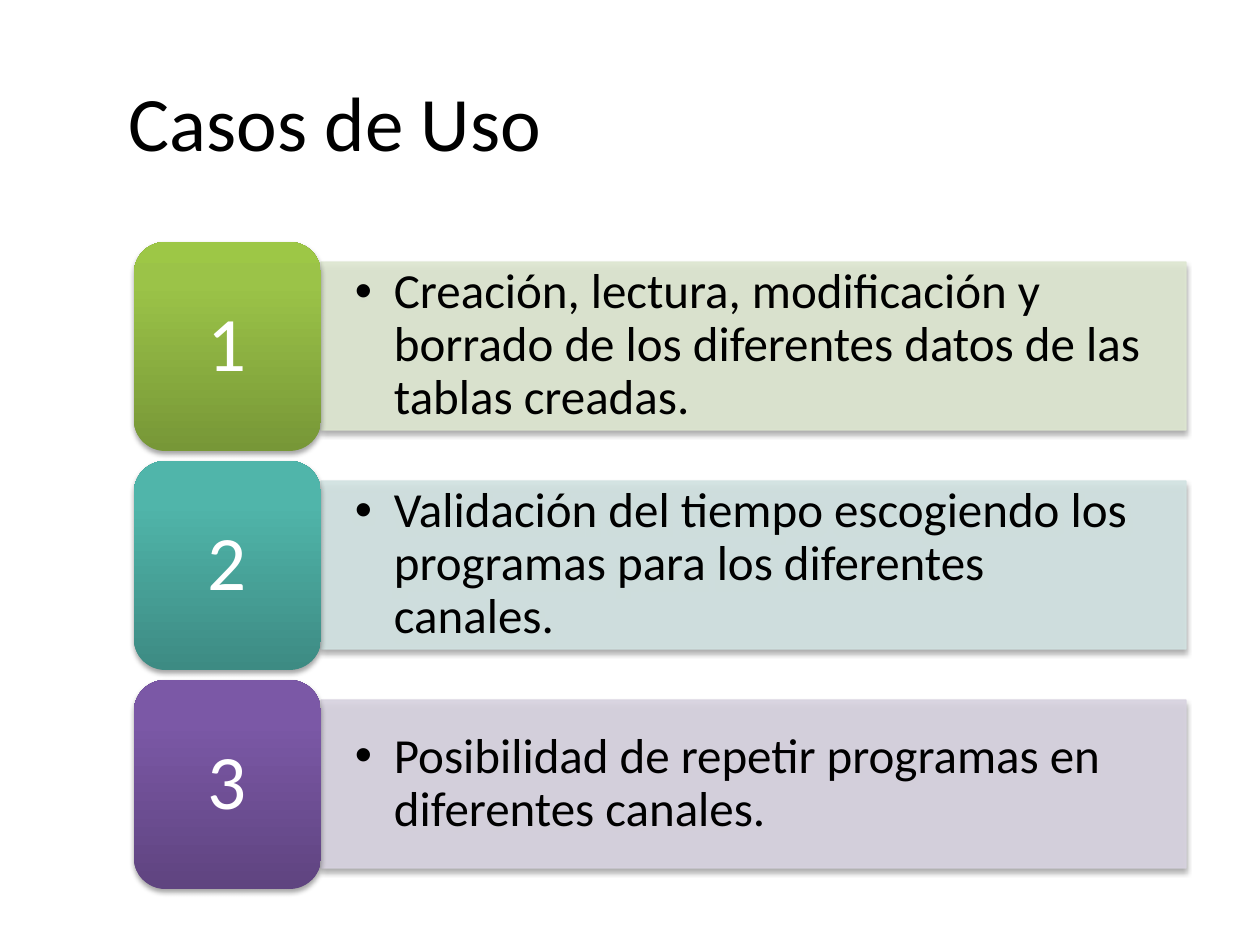
from lxml import etree
from pptx import Presentation
from pptx import util as u
from pptx.dml.color import RGBColor
from pptx.enum import shapes, text
from pptx.oxml.ns import qn

TITLE = "Casos de Uso"
USE_CASES = [
    ("Creación, lectura, modificación y borrado de los diferentes datos de las tablas creadas.",
     "DEE7D1", ("779737", "9BC348", "9DC746")),
    ("Validación del tiempo escogiendo los programas para los diferentes canales.",
     "D2E3E2", ("3D8B83", "50B5AA", "4EB8AC")),
    ("Posibilidad de repetir programas en diferentes canales.",
     "D8D3E0", ("5F4480", "7B58A6", "7C57A8")),
]
THEME = {
    "font": "Calibri", "dark": "000000", "light": "FFFFFF",
    "title_size": 44, "number_size": 44, "body_size": 28,
    "bar_alpha": 90000, "shadow_alpha": 35000,
    "gradient_stops": (0, 80000, 100000),
}

SLIDE_W, SLIDE_H = 1260, 945
TITLE_BOX = (116, 42, 1113, 157)
LEFT, TOP, PITCH = 134, 242, 219
TILE_W, TILE_H = 187, 209
BAR_W, BAR_H = 865, 168
BULLET_INDENT = 39


def px(n):
    return u.Emu(round(n * 914400 / 126))


def child(parent, tag, **attributes):
    return etree.SubElement(parent, qn(tag), {k: str(v) for k, v in attributes.items()})


def write(shape, words, size, color, align, inset=None, spacing=None):
    frame = shape.text_frame
    frame.text = words
    frame_format = {"word_wrap": True, "vertical_anchor": text.MSO_ANCHOR.MIDDLE,
                    "auto_size": text.MSO_AUTO_SIZE.NONE}
    if inset:
        across, down = map(px, inset)
        frame_format.update(margin_left=across, margin_right=across,
                            margin_top=down, margin_bottom=down)
    for name, value in frame_format.items():
        setattr(frame, name, value)
    paragraph = frame.paragraphs[0]
    paragraph.alignment = align
    paragraph.line_spacing = spacing
    font = paragraph.runs[0].font
    for name, value in {"name": THEME["font"], "size": u.Pt(size)}.items():
        setattr(font, name, value)
    font.color.rgb = RGBColor.from_string(color)
    return paragraph


def add_block(slide, kind, box):
    """Add a preset shape with a soft shadow below it."""
    shape = slide.shapes.add_shape(kind, *map(px, box))
    shape.shadow.inherit = False
    effects = shape._element.spPr.find(qn("a:effectLst"))
    shadow = child(effects, "a:outerShdw", blurRad=u.Pt(3.1), dist=u.Pt(1.8),
                   dir=5400000, rotWithShape=0)
    black = child(shadow, "a:srgbClr", val=THEME["dark"])
    child(black, "a:alpha", val=THEME["shadow_alpha"])
    return shape


def add_bar(slide, box, words, color):
    bar = add_block(slide, shapes.MSO_SHAPE.RECTANGLE, box)
    bar.line.width = u.Pt(0.75)
    for fill in (bar.fill, bar.line.fill):
        fill.solid()
        fill.fore_color.rgb = RGBColor.from_string(color)
    for tint in bar._element.spPr.findall(".//" + qn("a:solidFill") + "/" + qn("a:srgbClr")):
        child(tint, "a:alpha", val=THEME["bar_alpha"])
    paragraph = write(bar, words, THEME["body_size"], THEME["dark"],
                      text.PP_ALIGN.LEFT, (34, 18), 0.9)
    properties = paragraph._p.get_or_add_pPr()
    properties.set("marL", str(px(BULLET_INDENT)))
    properties.set("indent", str(-px(BULLET_INDENT)))
    child(properties, "a:buFont", typeface="Arial")
    child(properties, "a:buChar", char="•")


def add_tile(slide, box, number, colors):
    tile = add_block(slide, shapes.MSO_SHAPE.ROUNDED_RECTANGLE, box)
    tile.line.fill.background()
    tile.fill.gradient()
    tile.fill.gradient_angle = 90
    stops = tile._element.spPr.find(".//" + qn("a:gsLst"))
    for stop in list(stops):
        stops.remove(stop)
    for position, color in zip(THEME["gradient_stops"], colors):
        child(child(stops, "a:gs", pos=position), "a:srgbClr", val=color)
    write(tile, str(number), THEME["number_size"], THEME["light"],
          text.PP_ALIGN.CENTER, (23, 11), 0.9)


def main():
    deck = Presentation()
    deck.slide_width, deck.slide_height = px(SLIDE_W), px(SLIDE_H)
    slide = deck.slides.add_slide(deck.slide_layouts[5])
    title = slide.shapes.title
    for side, value in zip(("left", "top", "width", "height"), TITLE_BOX):
        setattr(title, side, px(value))
    write(title, TITLE, THEME["title_size"], THEME["dark"], text.PP_ALIGN.LEFT)

    for row, (words, bar_color, tile_colors) in enumerate(USE_CASES):
        top = TOP + row * PITCH
        bar_top = top + (TILE_H - BAR_H) // 2
        add_bar(slide, (LEFT + TILE_W, bar_top, BAR_W, BAR_H), words, bar_color)
        add_tile(slide, (LEFT, top, TILE_W, TILE_H), row + 1, tile_colors)

    deck.save("out.pptx")


if __name__ == "__main__":
    main()
